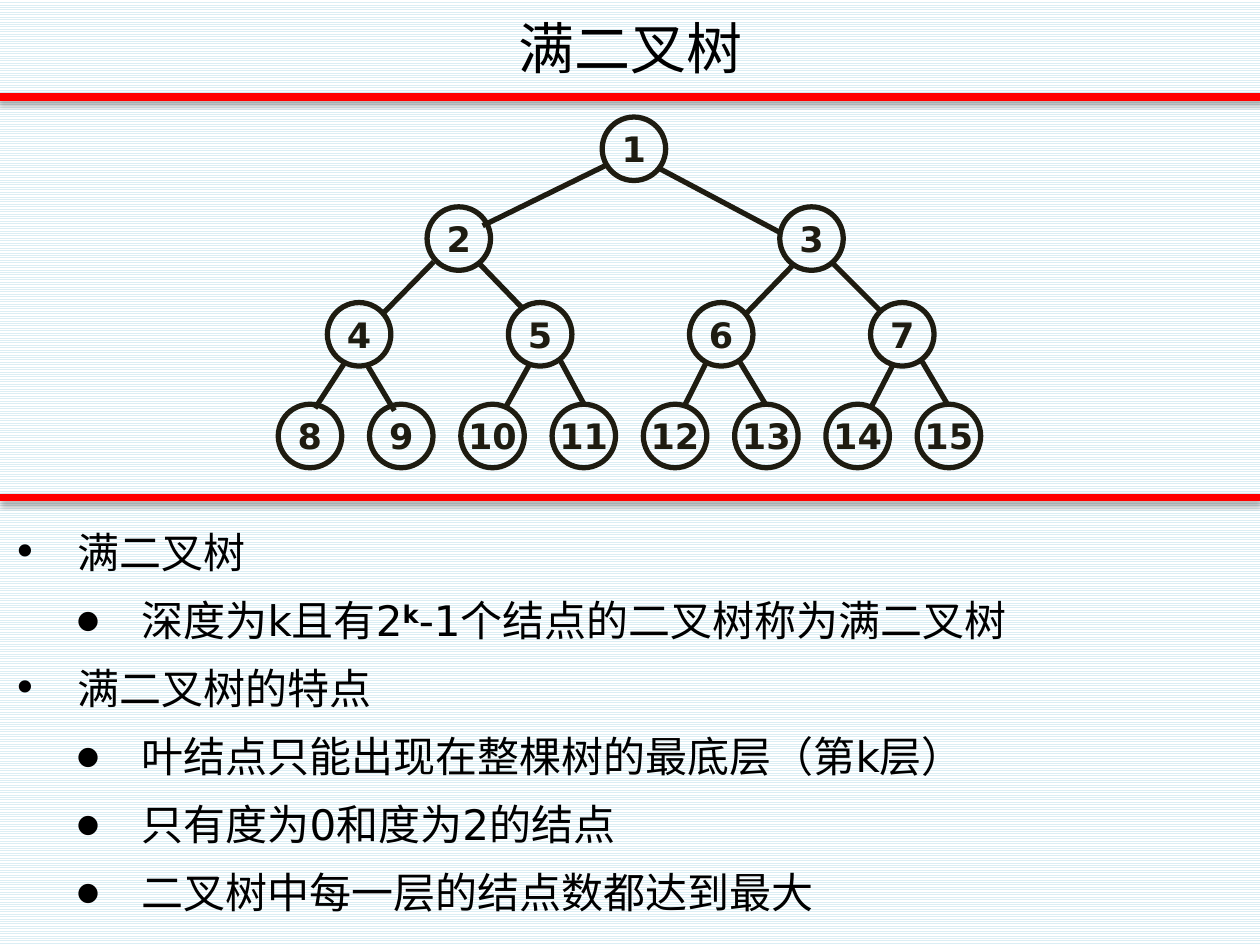
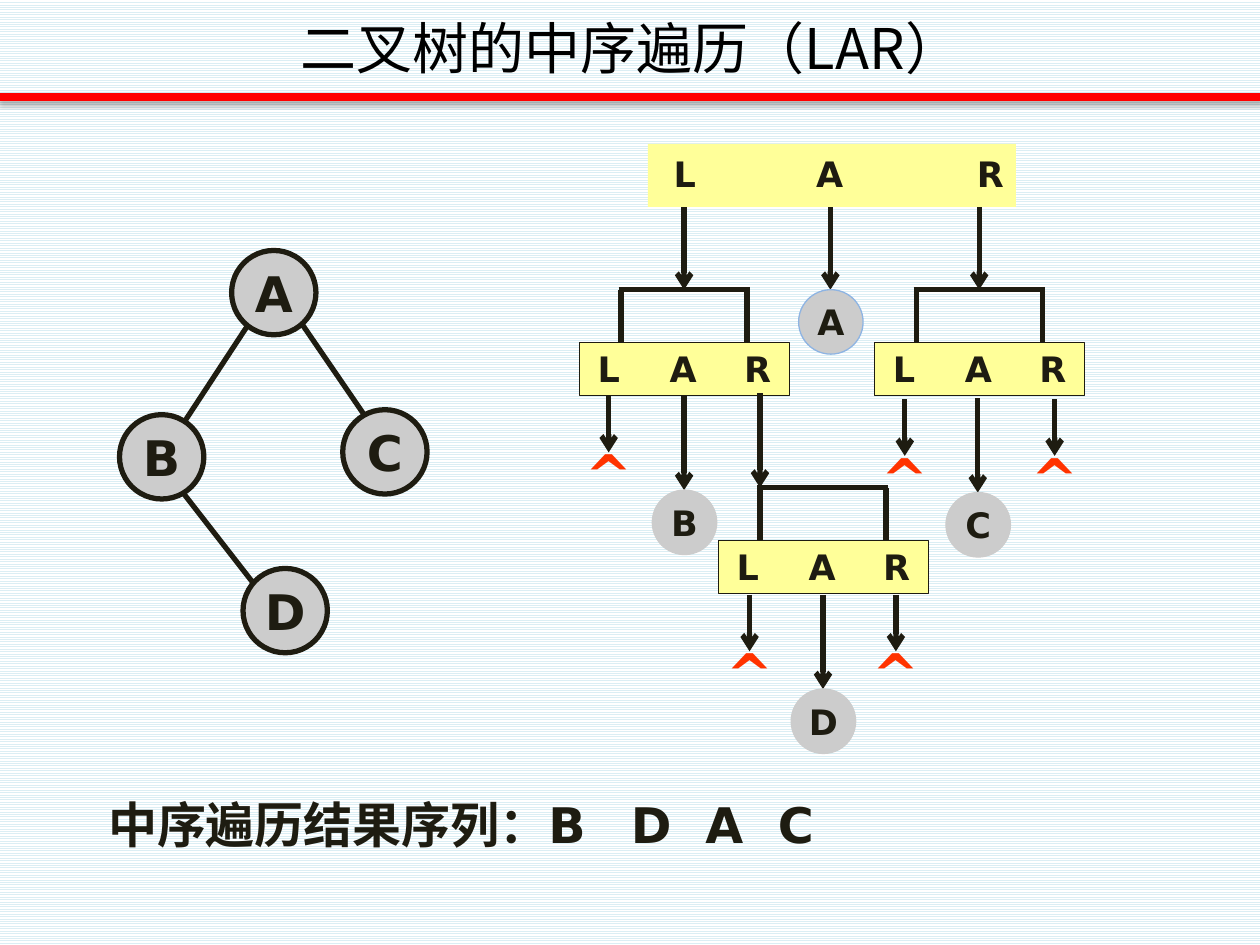
import pptx
import pptx.dml.color
import pptx.enum.dml
import pptx.enum.shapes
import pptx.enum.text
import pptx.oxml
import pptx.oxml.ns
import pptx.util

Cm, Pt = pptx.util.Cm, pptx.util.Pt
RGBColor = pptx.dml.color.RGBColor
SHAPE = pptx.enum.shapes.MSO_SHAPE
ALIGN = pptx.enum.text.PP_ALIGN
ANCHOR = pptx.enum.text.MSO_ANCHOR

BLACK = RGBColor(0x00, 0x00, 0x00)
INK = RGBColor(0x1E, 0x1C, 0x11)
RED = RGBColor(0xFF, 0x00, 0x00)
ORANGE = RGBColor(0xFF, 0x33, 0x00)
GREY = RGBColor(0xCC, 0xCC, 0xCC)
BLUE = RGBColor(0x8E, 0xB4, 0xE3)
YELLOW = RGBColor(0xFF, 0xFF, 0x99)
PALE = RGBColor(0xDB, 0xEE, 0xF4)
WHITE = RGBColor(0xFF, 0xFF, 0xFF)

SANS = "DejaVu Sans"
HAN = "Noto Sans CJK SC"

SHADOW = ('<a:outerShdw blurRad="40000" dist="23000" dir="5400000" rotWithShape="0">'
          '<a:srgbClr val="000000"><a:alpha val="35000"/></a:srgbClr></a:outerShdw>')


def node(xml):
    """Parse one drawing element, given without its namespace."""
    tag = xml[1:].split()[0].split("/")[0].split(">")[0]
    return pptx.oxml.parse_xml(
        xml.replace(tag, f"{tag} {pptx.oxml.ns.nsdecls('a')}", 1))


def write(par, text, size=20, font=SANS, color=INK, bold=True, align=None, base=0):
    """Add one run to a paragraph."""
    run = par.add_run()
    run.text = text
    run.font.size, run.font.bold, run.font.name = Pt(size), bold, font
    run.font.color.rgb = color
    props = run._r.get_or_add_rPr()
    props.append(node(f'<a:ea typeface="{font}"/>'))
    if base:
        props.set("baseline", str(base * 1000))
    if align is not None:
        par.alignment = align


class Deck:
    def __init__(self):
        self.prs = pptx.Presentation()
        self.prs.slide_width, self.prs.slide_height = Cm(25.4), Cm(19.05)
        self.master = self.prs.slide_master
        fill = self.master.background.fill
        fill.patterned()
        fill.pattern = pptx.enum.dml.MSO_PATTERN.LIGHT_HORIZONTAL
        fill.fore_color.rgb, fill.back_color.rgb = PALE, WHITE
        self.slide = None

    def page(self, title, layout):
        first = self.slide is None
        self.slide = self.prs.slides.add_slide(self.prs.slide_layouts[layout])
        if first:
            band = self.line(-0.03, 1.96, 25.43, 1.96, RED, 4.5, shadow=True)
            self.master.shapes.element.append(band.element)
        frame = self.place(self.slide.shapes.title, 0, 0.13, 25.43, 1.65)
        frame.vertical_anchor = ANCHOR.MIDDLE
        write(frame.paragraphs[0], title, size=32, font=HAN, color=BLACK,
              bold=False, align=ALIGN.CENTER)

    def place(self, holder, x, y, w, h):
        holder.left, holder.top, holder.width, holder.height = Cm(x), Cm(y), Cm(w), Cm(h)
        frame = holder.text_frame
        frame.word_wrap = True
        frame.auto_size = pptx.enum.text.MSO_AUTO_SIZE.NONE
        return frame

    def bullets(self, items, x, y, w, h):
        """Fill the body with (level, parts); each part is (text, format)."""
        frame = self.place(self.slide.placeholders[1], x, y, w, h)
        for i, (level, parts) in enumerate(items):
            par = frame.add_paragraph() if i else frame.paragraphs[0]
            props = par._p.get_or_add_pPr()
            props.set("marL", str(Cm(1.3 * (level + 1))))
            props.set("indent", str(-Cm(1.3)))
            props.append(node('<a:buClr><a:srgbClr val="000000"/></a:buClr>'))
            if level:
                props.append(node('<a:buSzPct val="60000"/>'))
            props.append(node(f'<a:buFont typeface="{SANS}"/>'))
            props.append(node(f'<a:buChar char="{"•●"[level]}"/>'))
            par.line_spacing, par.space_before = 1.35, Pt(0)
            for text, form in parts:
                write(par, text, **{"size": 24, "color": BLACK, "bold": False, **form})

    def line(self, x1, y1, x2, y2, color=INK, width=3, arrow=False, shadow=False):
        line = self.slide.shapes.add_connector(
            pptx.enum.shapes.MSO_CONNECTOR.STRAIGHT, Cm(x1), Cm(y1), Cm(x2), Cm(y2))
        line.line.color.rgb, line.line.width = color, Pt(width)
        if arrow:
            line.line._get_or_add_ln().append(node('<a:tailEnd type="arrow"/>'))
        line.element.spPr.append(
            node(f"<a:effectLst>{SHADOW if shadow else ''}</a:effectLst>"))
        return line

    def shape(self, kind, x, y, w, h, fill=None, line=INK, width=0.75, text="", **form):
        shape = self.slide.shapes.add_shape(kind, Cm(x), Cm(y), Cm(w), Cm(h))
        shape.shadow.inherit = False
        if fill is None:
            shape.fill.background()
        else:
            shape.fill.solid()
            shape.fill.fore_color.rgb = fill
        if line is None:
            shape.line.fill.background()
        else:
            shape.line.color.rgb, shape.line.width = line, Pt(width)
        if text:
            frame = shape.text_frame
            frame.word_wrap, frame.vertical_anchor = False, ANCHOR.MIDDLE
            write(frame.paragraphs[0], text, align=ALIGN.CENTER, **form)

    def disc(self, x, y, span, text, **form):
        self.shape(SHAPE.OVAL, x, y, span, span, text=text, **form)

    def label(self, x, y, w, h, text, wrap=False, top=0, anchor=ANCHOR.MIDDLE,
              align=ALIGN.CENTER, **form):
        """Add a text box without side insets."""
        frame = self.slide.shapes.add_textbox(Cm(x), Cm(y), Cm(w), Cm(h)).text_frame
        frame.word_wrap, frame.vertical_anchor = wrap, anchor
        frame.margin_left = frame.margin_right = frame.margin_bottom = 0
        frame.margin_top = Cm(top)
        write(frame.paragraphs[0], text, align=align, **form)
        return frame.paragraphs[0]

    def letters(self, x, y, step, last=ALIGN.CENTER):
        for i, text in enumerate("LAR"):
            self.label(x + i * step, y, 1.19, 0.99, text,
                       align=last if text == "R" else ALIGN.CENTER)

    def visit(self, x, y, text, line=GREY):
        """Arrow down to the disc of a visited node."""
        self.line(x, y, x, y + 1.9, arrow=True)
        self.disc(x - 0.64, y + 1.9, 1.3, text, fill=GREY, line=line)

    def empty(self, x, y):
        """Arrow down to the mark of an empty subtree."""
        self.line(x, y, x, y + 1.14, arrow=True)
        self.label(x - 0.65, y + 0.79, 1.3, 1.3, "^", wrap=True, top=0.1,
                   anchor=ANCHOR.TOP, size=32, color=ORANGE)

    def call(self, x, y, entry):
        """Box of one recursive call, its bracket and the arrow at entry."""
        top = y - 1.07
        self.line(x + entry, top - 1.9, x + entry, top, arrow=True)
        self.line(x + 0.79, top, x + 3.43, top)
        for leg in (0.84, 3.38):
            self.line(x + leg, top, x + leg, y)
        self.shape(SHAPE.RECTANGLE, x, y, 4.24, 1.07, fill=YELLOW)
        self.letters(x, y + 0.03, 1.5)


# Left end, step and top of each level of the full tree
LEVELS = [(12.14, 0, 2.36), (8.61, 7.11, 4.17), (6.6, 3.65, 6.1), (5.61, 1.84, 8.15)]
EDGES = [
    (12.22, 3.33, 9.73, 4.55), (13.26, 3.38, 15.75, 4.7),
    (8.74, 5.28, 7.72, 6.32), (9.63, 5.28, 10.54, 6.22),
    (16, 5.33, 15.04, 6.32), (16.76, 5.28, 17.75, 6.27),
    (6.93, 7.34, 6.35, 8.23), (7.42, 7.39, 7.95, 8.28),
    (10.69, 7.32, 10.21, 8.18), (11.28, 7.24, 11.79, 8.18),
    (14.22, 7.34, 13.79, 8.2), (14.91, 7.29, 15.42, 8.13),
    (18.01, 7.34, 17.55, 8.23), (18.59, 7.29, 19.1, 8.15),
]
POINTS = [
    (0, [("满二叉树", {})]),
    (1, [("深度为k且有2", {}), ("k", {"bold": True, "base": 30}),
         ("-1个结点的二叉树称为满二叉树", {})]),
    (0, [("满二叉树的特点", {})]),
    (1, [("叶结点只能出现在整棵树的最底层（第k层）", {})]),
    (1, [("只有度为0和度为2的结点", {})]),
    (1, [("二叉树中每一层的结点数都达到最大", {})]),
]


def full_tree(deck):
    deck.page("满二叉树", 1)
    deck.bullets(POINTS, 0, 10.13, 25.4, 8.76)
    deck.line(0, 10.03, 25.4, 10.03, RED, 4.5, shadow=True)
    for depth, (left, step, top) in enumerate(LEVELS):
        for i in range(2 ** depth):
            deck.disc(left + i * step, top, 1.28, str(2 ** depth + i), width=3)
    for edge in EDGES:
        deck.line(*edge)


def in_order(deck):
    deck.page("二叉树的中序遍历（LAR）", 5)
    for edge in [(5, 6.55, 3.68, 8.56), (6.1, 6.55, 7.34, 8.36), (3.71, 9.96, 5.11, 11.76)]:
        deck.line(*edge)
    for text, x, y in [("A", 4.67, 5.05), ("B", 2.41, 8.36), ("C", 6.91, 8.26),
                       ("D", 4.9, 11.46)]:
        deck.disc(x, y, 1.7, text, fill=GREY, width=3, size=28)

    deck.visit(16.74, 3.94, "A", line=BLUE)
    deck.visit(13.79, 7.98, "B")
    deck.visit(19.71, 8.03, "C")
    deck.visit(16.59, 11.99, "D")
    for x, y, entry in [(11.68, 6.91, 2.11), (17.63, 6.91, 2.11), (14.48, 10.9, 0.84)]:
        deck.call(x, y, entry)
    for x, y in [(12.27, 7.98), (18.24, 8.05), (21.26, 8.05), (15.11, 11.99), (18.06, 11.99)]:
        deck.empty(x, y)
    deck.shape(SHAPE.RECTANGLE, 13.06, 2.9, 7.42, 1.27, fill=YELLOW, line=None)
    deck.letters(13.21, 3, 2.92, last=ALIGN.RIGHT)

    par = deck.label(2.18, 15.88, 17.7, 1.45, "中序遍历结果序列：B\tD\tA\tC", wrap=True,
                     top=0.13, anchor=ANCHOR.TOP, align=ALIGN.LEFT, size=28)
    stops = "".join(f'<a:tab pos="{Cm(x)}" algn="l"/>' for x in (10.54, 12.04, 13.5))
    par._p.get_or_add_pPr().append(node(f"<a:tabLst>{stops}</a:tabLst>"))


def main():
    deck = Deck()
    full_tree(deck)
    in_order(deck)
    deck.prs.save("out.pptx")


if __name__ == "__main__":
    main()
